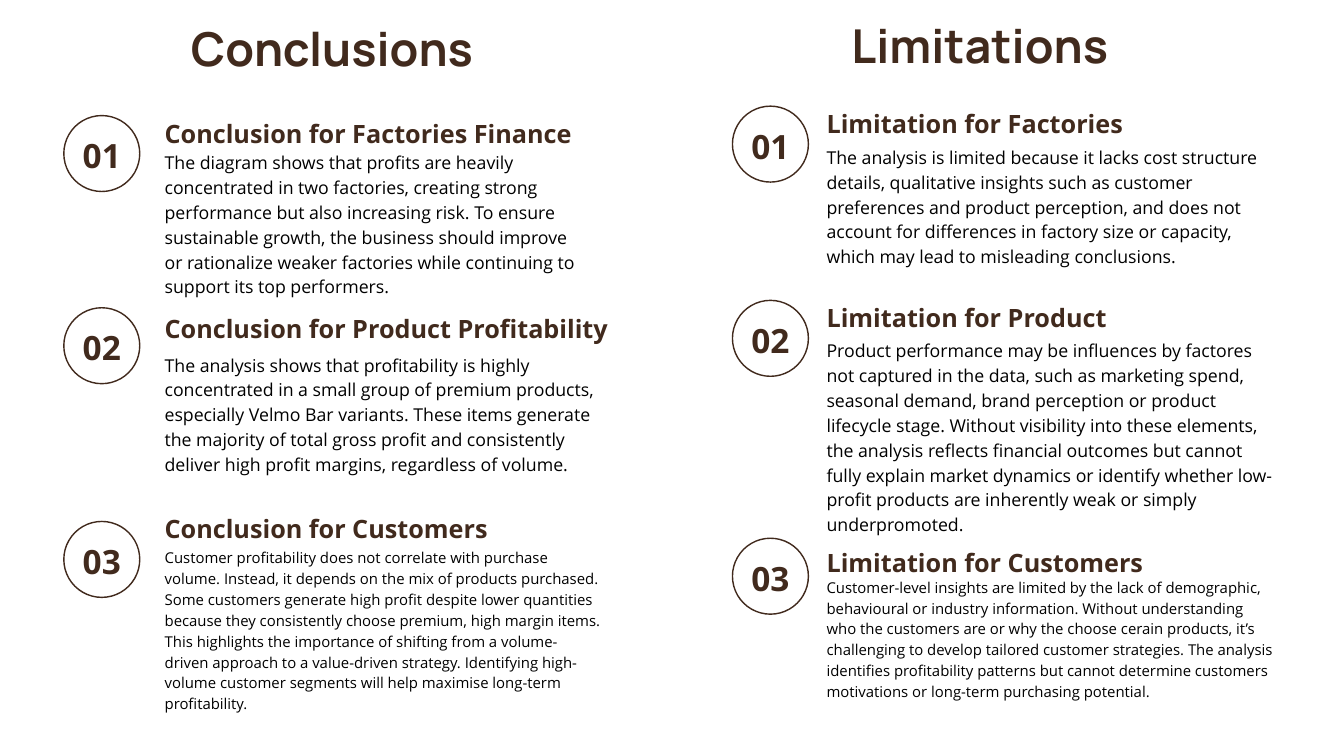
from dataclasses import dataclass

from pptx import Presentation
from pptx.dml.color import RGBColor
from pptx.enum.shapes import MSO_SHAPE
from pptx.enum.text import MSO_ANCHOR, MSO_AUTO_SIZE, PP_ALIGN
from pptx.util import Inches, Pt

COLORS = {"brown": "412A1D", "black": "000000", "white": "FFFFFF"}
GRID_COLUMNS = 200
SLIDE_WIDTH = Inches(20)
SLIDE_HEIGHT = Inches(11.25)
BADGE_SIZE = 11.3
HEADING_HEIGHT = 5.1


@dataclass
class Style:
    font: str
    size: float
    leading: float
    color: str
    bold: bool = True
    align: PP_ALIGN = PP_ALIGN.LEFT


TITLE = Style("Manrope", 50, 60, "brown")
HEADING = Style("Open Sans", 27, 37.8, "brown")
NUMBER = Style("Open Sans", 35.8, 50.1, "brown", align=PP_ALIGN.CENTER)
BODY = Style("Open Sans", 19, 26.6, "black", bold=False)
SMALL = Style("Open Sans", 16, 22.4, "black", bold=False)


@dataclass
class Entry:
    badge_top: float
    heading_top: float
    body_top: float
    body_width: float
    body_height: float
    style: Style
    heading: str
    body: str


CONCLUSIONS = [
    Entry(17.2, 16.8, 22.1, 62.5, 21.9, BODY, "Conclusion for Factories Finance",
          "The diagram shows that profits are heavily concentrated in two factories, "
          "creating strong performance but also increasing risk. To ensure sustainable "
          "growth, the business should improve or rationalize weaker factories while "
          "continuing to support its top performers."),
    Entry(45.8, 45.9, 52.2, 64.9, 21.9, BODY, "Conclusion for Product Profitability",
          "The analysis shows that profitability is highly concentrated in a small group "
          "of premium products, especially Velmo Bar variants. These items generate the "
          "majority of total gross profit and consistently deliver high profit margins, "
          "regardless of volume."),
    Entry(77.6, 75.7, 81.2, 64.9, 24.2, SMALL, "Conclusion for Customers",
          "Customer profitability does not correlate with purchase volume. Instead, it "
          "depends on the mix of products purchased. Some customers generate high profit "
          "despite lower quantities because they consistently choose premium, high margin "
          "items. This highlights the importance of shifting from a volume-driven approach "
          "to a value-driven strategy. Identifying high-volume customer segments will help "
          "maximise long-term profitability."),
]

LIMITATIONS = [
    Entry(15.8, 15.4, 21.3, 66.8, 21.9, BODY, "Limitation for Factories",
          "The analysis is limited because it lacks cost structure details, qualitative "
          "insights such as customer preferences and product perception, and does not "
          "account for differences in factory size or capacity, which may lead to "
          "misleading conclusions."),
    Entry(44.7, 44.3, 50.1, 66.8, 29.2, BODY, "Limitation for Product",
          "Product performance may be influences by factores not captured in the data, "
          "such as marketing spend, seasonal demand, brand perception or product lifecycle "
          "stage. Without visibility into these elements, the analysis reflects financial "
          "outcomes but cannot fully explain market dynamics or identify whether "
          "low-profit products are inherently weak or simply underpromoted."),
    Entry(80.1, 80.7, 85.6, 66.8, 21.2, SMALL, "Limitation for Customers",
          "Customer-level insights are limited by the lack of demographic, behavioural or "
          "industry information. Without understanding who the customers are or why the "
          "choose cerain products, it’s challenging to develop tailored customer "
          "strategies. The analysis identifies profitability patterns but cannot determine "
          "customers motivations or long-term purchasing potential."),
]


def grid(*cells):
    return [round(cell * SLIDE_WIDTH / GRID_COLUMNS) for cell in cells]


def color(name):
    return RGBColor.from_string(COLORS[name])


def write(shape, text, style):
    frame = shape.text_frame
    frame.word_wrap = True
    frame.auto_size = MSO_AUTO_SIZE.NONE
    frame.vertical_anchor = MSO_ANCHOR.TOP
    frame.margin_left = frame.margin_right = frame.margin_top = frame.margin_bottom = 0
    para = frame.paragraphs[0]
    para.alignment = style.align
    para.line_spacing = Pt(style.leading)
    para.space_before = Pt(0)
    span = para.add_run()
    span.text = text
    span.font.name = style.font
    span.font.size = Pt(style.size)
    span.font.bold = style.bold
    span.font.color.rgb = color(style.color)


def add_title(placeholder, text, left, top, width, height):
    placeholder.left, placeholder.top, placeholder.width, placeholder.height = grid(
        left, top, width, height)
    write(placeholder, text, TITLE)


def add_text(page, text, style, *box):
    write(page.shapes.add_textbox(*grid(*box)), text, style)


def add_badge(page, number, left, top):
    badge = page.shapes.add_shape(
        MSO_SHAPE.OVAL, *grid(left, top, BADGE_SIZE, BADGE_SIZE))
    badge.shadow.inherit = False
    badge.fill.background()
    badge.line.color.rgb = color("brown")
    badge.line.width = Pt(1.5)
    write(badge, f"{number:02}", NUMBER)
    badge.text_frame.margin_top = Inches(0.03)


def add_column(page, entries, left, text_left, heading_width):
    for number, entry in enumerate(entries, 1):
        add_badge(page, number, left, entry.badge_top)
        add_text(page, entry.heading, HEADING, left + text_left, entry.heading_top,
                 heading_width, HEADING_HEIGHT)
        add_text(page, entry.body, entry.style, left + text_left, entry.body_top,
                 entry.body_width, entry.body_height)


def main():
    deck = Presentation()
    deck.slide_width = SLIDE_WIDTH
    deck.slide_height = SLIDE_HEIGHT
    page = deck.slides.add_slide(deck.slide_layouts.get_by_name("Comparison"))
    page.background.fill.solid()
    page.background.fill.fore_color.rgb = color("white")

    left_title, right_title, *unused = page.placeholders
    for placeholder in unused:
        placeholder.element.getparent().remove(placeholder.element)

    add_title(left_title, "Conclusions", 28.4, 3, 44.2, 8.9)
    add_column(page, CONCLUSIONS, left=9.5, text_left=15, heading_width=67)
    add_title(right_title, "Limitations", 126.7, 2.5, 40.1, 8.9)
    add_column(page, LIMITATIONS, left=109, text_left=14, heading_width=47.5)
    deck.save("out.pptx")


if __name__ == "__main__":
    main()
